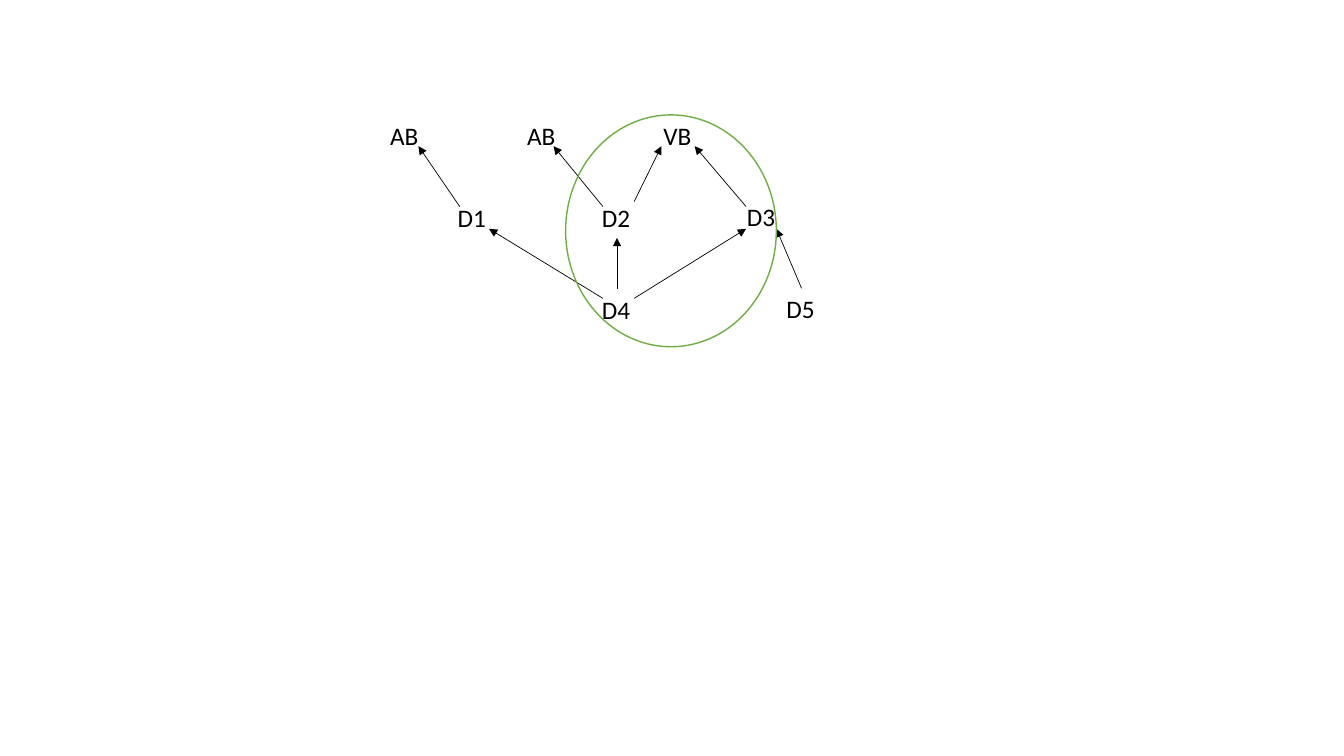
from lxml import etree
from pptx import Presentation
from pptx.dml.color import RGBColor
from pptx.enum.shapes import MSO_CONNECTOR, MSO_SHAPE
from pptx.enum.text import MSO_AUTO_SIZE
from pptx.oxml.ns import qn
from pptx.util import Inches, Pt

BLACK = "000000"
GREEN = "70AD47"
LABEL_SIZE = (0.49, 0.4)

LABELS = [
    ("AB", 5.13, 1.14),
    ("VB", 6.48, 1.14),
    ("AB", 3.77, 1.14),
    ("D1", 4.44, 1.96),
    ("D2", 5.87, 1.96),
    ("D3", 7.31, 1.95),
    ("D4", 5.87, 2.87),
    ("D5", 7.7, 2.86),
]

ARROWS = [
    ((4.56, 2.05), (4.15, 1.45)),
    ((5.98, 2.05), (5.49, 1.45)),
    ((7.4, 2.05), (6.89, 1.45)),
    ((7.95, 2.86), (7.7, 2.27)),
    ((5.98, 2.96), (4.85, 2.27)),
    ((6.12, 2.87), (6.12, 2.36)),
    ((6.29, 2.96), (7.4, 2.27)),
    ((6.29, 2), (6.56, 1.45)),
]


def set_line(line, color, width):
    """Give a line a solid colour and a width in points."""
    line.color.rgb = RGBColor.from_string(color)
    line.width = Pt(width)


def add_label(slide, text, left, top):
    """Add the name of one node."""
    width, height = LABEL_SIZE
    shape = slide.shapes.add_textbox(Inches(left), Inches(top), Inches(width), Inches(height))
    text_frame = shape.text_frame
    text_frame.word_wrap = False
    text_frame.auto_size = MSO_AUTO_SIZE.SHAPE_TO_FIT_TEXT
    text_frame.text = text
    font = text_frame.paragraphs[0].runs[0].font
    font.name = "Calibri"
    font.size = Pt(18)
    font.color.rgb = RGBColor.from_string(BLACK)


def add_arrow(slide, start, end):
    """Add a thin arrow that points at its end."""
    points = [Inches(value) for value in (*start, *end)]
    connector = slide.shapes.add_connector(MSO_CONNECTOR.STRAIGHT, *points)
    set_line(connector.line, BLACK, 0.5)
    properties = connector._element.spPr
    etree.SubElement(properties.find(qn("a:ln")), qn("a:tailEnd"), type="triangle")
    etree.SubElement(properties, qn("a:effectLst"))


def add_ring(slide, left, top, width, height):
    """Add the unfilled ellipse around a group of nodes."""
    shape = slide.shapes.add_shape(
        MSO_SHAPE.OVAL, Inches(left), Inches(top), Inches(width), Inches(height)
    )
    shape.shadow.inherit = False
    shape.fill.background()
    set_line(shape.line, GREEN, 1)


def main():
    """Build the dependency graph slide."""
    presentation = Presentation()
    presentation.slide_width = Inches(13.33)
    presentation.slide_height = Inches(7.5)
    slide = presentation.slides.add_slide(presentation.slide_layouts[6])
    for text, left, top in LABELS:
        add_label(slide, text, left, top)
    for start, end in ARROWS:
        add_arrow(slide, start, end)
    add_ring(slide, 5.61, 1.14, 2.09, 2.3)
    presentation.save("out.pptx")


if __name__ == "__main__":
    main()
